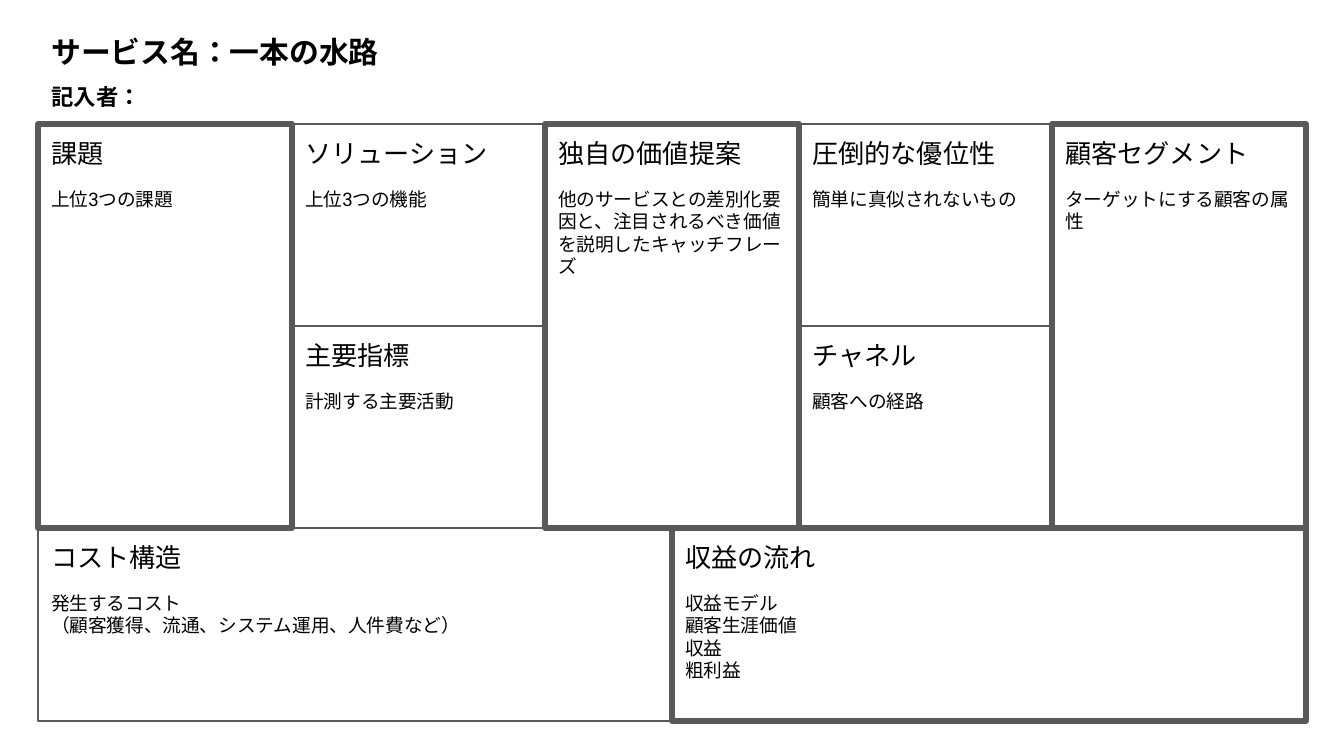
import copy

import lxml.etree
import pptx
import pptx.dml.color
import pptx.enum.lang
import pptx.enum.shapes
import pptx.enum.text
import pptx.oxml.ns
import pptx.util

PX = 914400 / 134.4
THEME = {
    "font": "Roboto",
    "text": pptx.dml.color.RGBColor.from_string("000000"),
    "border": pptx.dml.color.RGBColor.from_string("595959"),
    "title": 16,
    "author": 12,
    "heading": 14,
    "body": 10,
    "thin": 0.75,
    "thick": 3,
}


def place(shape, left, top, right, bottom):
    """Set a shape's edges in px and its shared text frame layout."""
    shape.left, shape.top = round(left * PX), round(top * PX)
    shape.width, shape.height = round((right - left) * PX), round((bottom - top) * PX)
    frame = shape.text_frame
    frame.word_wrap = True
    frame.auto_size = pptx.enum.text.MSO_AUTO_SIZE.NONE
    frame.vertical_anchor = pptx.enum.text.MSO_ANCHOR.TOP
    frame.margin_left = frame.margin_right = pptx.util.Inches(0.1)
    frame.margin_top = frame.margin_bottom = pptx.util.Inches(0.1)


def write(paragraph, text, size, bold=False, spacing=0):
    """Fill a paragraph, giving East Asian text and line breaks the same font."""
    paragraph.text = text
    paragraph.alignment = pptx.enum.text.PP_ALIGN.LEFT
    paragraph.space_before = paragraph.space_after = pptx.util.Pt(spacing)
    for run in paragraph.runs:
        run.font.name = THEME["font"]
        run.font.size = pptx.util.Pt(size)
        run.font.bold = bold
        run.font.color.rgb = THEME["text"]
        run.font.language_id = pptx.enum.lang.MSO_LANGUAGE_ID.JAPANESE
        properties = run._r.get_or_add_rPr()
        east_asian = lxml.etree.SubElement(properties, pptx.oxml.ns.qn("a:ea"))
        east_asian.set("typeface", THEME["font"])
    for line_break in paragraph._p.findall(pptx.oxml.ns.qn("a:br")):
        line_break.append(copy.deepcopy(properties))


presentation = pptx.Presentation()
presentation.slide_width = round(1344 * PX)
presentation.slide_height = round(756 * PX)
slide = presentation.slides.add_slide(presentation.slide_layouts[0])

title, author = slide.placeholders
place(title, 38, 20, 719, 70)
write(title.text_frame.paragraphs[0], "サービス名：一本の水路", THEME["title"], bold=True)
place(author, 38, 70, 719, 124)
write(author.text_frame.paragraphs[0], "記入者：", THEME["author"], bold=True)

# The canvas is ten half columns wide; the upper area is split into two equal rows.
LEFT, WIDTH = 38, 1268
columns = [round(LEFT + WIDTH * half / 10) for half in range(11)]
rows = [124, 326, 528, 721]

# Heading, body, first and last column edge, first and last row edge, border.
# Thick boxes come last so that their borders lie on top.
boxes = [
    ("コスト構造", "発生するコスト\n（顧客獲得、流通、システム運用、人件費など）", 0, 5, 2, 3, "thin"),
    ("主要指標", "計測する主要活動", 2, 4, 1, 2, "thin"),
    ("チャネル", "顧客への経路", 6, 8, 1, 2, "thin"),
    ("ソリューション", "上位3つの機能", 2, 4, 0, 1, "thin"),
    ("圧倒的な優位性", "簡単に真似されないもの", 6, 8, 0, 1, "thin"),
    ("課題", "上位3つの課題", 0, 2, 0, 2, "thick"),
    ("独自の価値提案",
     "他のサービスとの差別化要因と、注目されるべき価値を説明したキャッチフレーズ",
     4, 6, 0, 2, "thick"),
    ("顧客セグメント", "ターゲットにする顧客の属性", 8, 10, 0, 2, "thick"),
    ("収益の流れ", "収益モデル\n顧客生涯価値\n収益\n粗利益", 5, 10, 2, 3, "thick"),
]
for heading, body, first_column, last_column, first_row, last_row, border in boxes:
    box = slide.shapes.add_shape(pptx.enum.shapes.MSO_SHAPE.RECTANGLE, 0, 0, 0, 0)
    place(box, columns[first_column], rows[first_row], columns[last_column], rows[last_row])
    box.shadow.inherit = False
    box.fill.background()
    box.line.color.rgb = THEME["border"]
    box.line.width = pptx.util.Pt(THEME[border])
    lxml.etree.SubElement(box.line._get_or_add_ln(), pptx.oxml.ns.qn("a:round"))
    write(box.text_frame.paragraphs[0], heading, THEME["heading"])
    write(box.text_frame.add_paragraph(), body, THEME["body"], spacing=10)

presentation.save("out.pptx")
